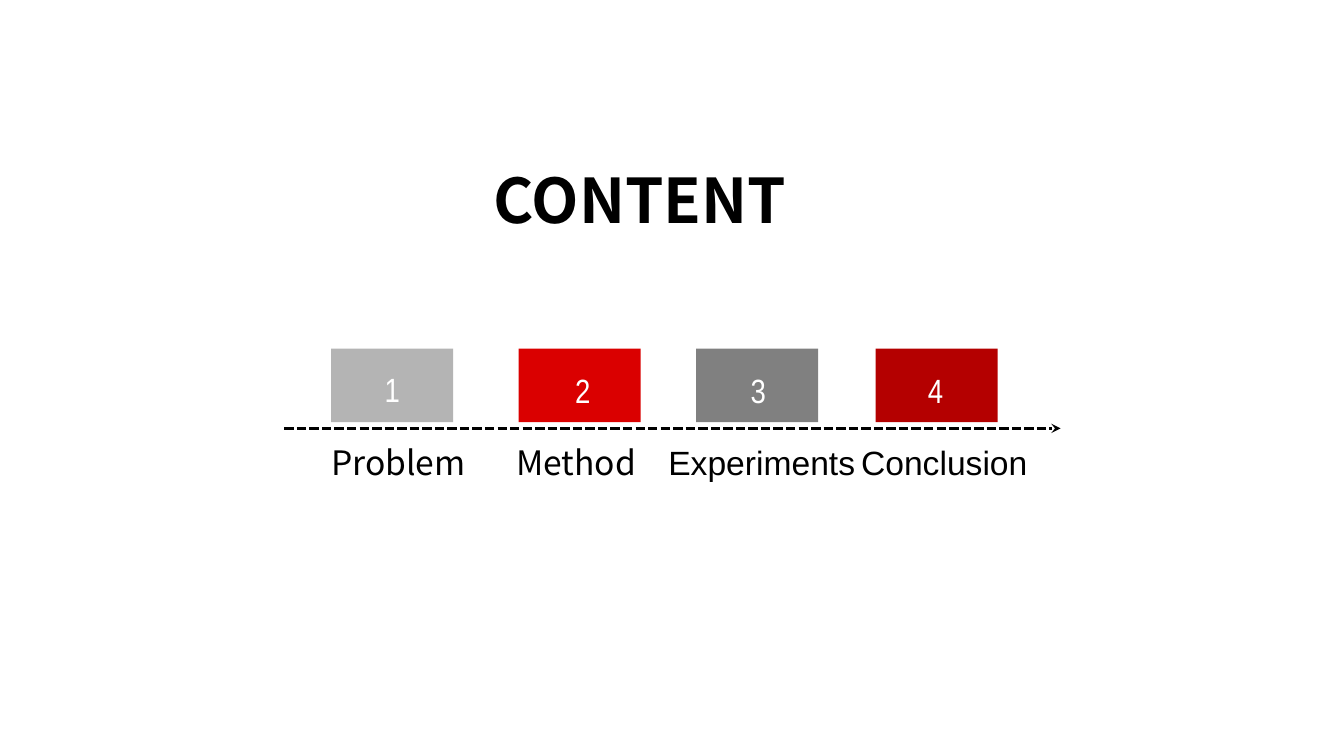
from lxml import etree
from pptx import Presentation
from pptx.dml.color import RGBColor
from pptx.enum.dml import MSO_LINE
from pptx.enum.shapes import MSO_CONNECTOR, MSO_SHAPE
from pptx.enum.text import MSO_ANCHOR, PP_ALIGN
from pptx.oxml.ns import qn
from pptx.util import Inches, Pt

RECTANGLE = MSO_SHAPE.RECTANGLE
STRAIGHT = MSO_CONNECTOR.STRAIGHT
DASH = MSO_LINE.SQUARE_DOT
LEFT, CENTER = PP_ALIGN.LEFT, PP_ALIGN.CENTER
TOP, MIDDLE = MSO_ANCHOR.TOP, MSO_ANCHOR.MIDDLE

# Content
TITLE = "CONTENT"
SANS, ARIAL, NARROW = "Noto Sans CJK SC", "Arial", "Arial Narrow"
# label, label font, alignment, fill, block centre, number (left, top), label (left, width)
STEPS = [
    ("Problem", SANS, CENTER, "B4B4B4", 3.89, (3.67, 3.61), (2.73, 2.44)),
    ("Method", SANS, LEFT, "DA0000", 5.75, (5.56, 3.62), (5.02, 1.6)),
    ("Experiments", ARIAL, CENTER, "808080", 7.51, (7.3, 3.62), (6.45, 2.21)),
    ("Conclusion", ARIAL, CENTER, "B40000", 9.29, (9.06, 3.62), (8.26, 2.21)),
]

# Layout in inches
BLOCK_WIDTH, BLOCK_HEIGHT, BLOCK_TOP = 1.21, 0.73, 3.46
NUMBER_WIDTH, TEXT_HEIGHT, LABEL_TOP = 0.44, 0.51, 4.33
AXIS_LEFT, AXIS_RIGHT, AXIS_Y = 2.82, 10.52, 4.25


def color(hex_value):
    return RGBColor.from_string(hex_value)


def add_text(slide, box, text, font, size=24, fill="000000", align=CENTER,
             anchor=TOP, bold=False):
    frame = slide.shapes.add_textbox(*map(Inches, box)).text_frame
    frame.word_wrap = True
    frame.vertical_anchor = anchor
    paragraph = frame.paragraphs[0]
    paragraph.alignment = align
    run = paragraph.add_run()
    run.text = text
    run.font.name = font
    run.font.size = Pt(size)
    run.font.bold = bold
    run.font.color.rgb = color(fill)
    return paragraph


def add_axis(slide):
    ends = map(Inches, (AXIS_LEFT, AXIS_Y, AXIS_RIGHT, AXIS_Y))
    axis = slide.shapes.add_connector(STRAIGHT, *ends)
    axis.line.color.rgb = color("000000")
    axis.line.width = Pt(2.25)
    axis.line.dash_style = DASH
    etree.SubElement(axis.line._get_or_add_ln(), qn("a:tailEnd"), type="stealth")
    etree.SubElement(axis._element.spPr, qn("a:effectLst"))


def add_step(slide, number, step):
    label, font, align, fill, center, number_corner, (label_left, label_width) = step
    box = (center - BLOCK_WIDTH / 2, BLOCK_TOP, BLOCK_WIDTH, BLOCK_HEIGHT)
    block = slide.shapes.add_shape(RECTANGLE, *map(Inches, box))
    block.shadow.inherit = False
    block.fill.solid()
    block.fill.fore_color.rgb = color(fill)
    block.line.fill.background()
    texts = [
        add_text(slide, (*number_corner, NUMBER_WIDTH, TEXT_HEIGHT), str(number),
                 NARROW, fill="FFFFFF"),
        add_text(slide, (label_left, LABEL_TOP, label_width, TEXT_HEIGHT), label,
                 font, align=align),
    ]
    for paragraph in texts:
        paragraph.space_before = Pt(10)


def main():
    presentation = Presentation()
    presentation.slide_width = Inches(13.33)
    presentation.slide_height = Inches(7.5)
    slide = presentation.slides.add_slide(presentation.slide_layouts[6])

    # Heading
    title = add_text(slide, (0.6, 1.29, 11.5, 1.45), TITLE, SANS, size=44,
                     anchor=MIDDLE, bold=True)
    title.line_spacing = 0.9

    # Timeline with numbered blocks
    add_axis(slide)
    for number, step in enumerate(STEPS, 1):
        add_step(slide, number, step)

    presentation.save("out.pptx")


if __name__ == "__main__":
    main()
